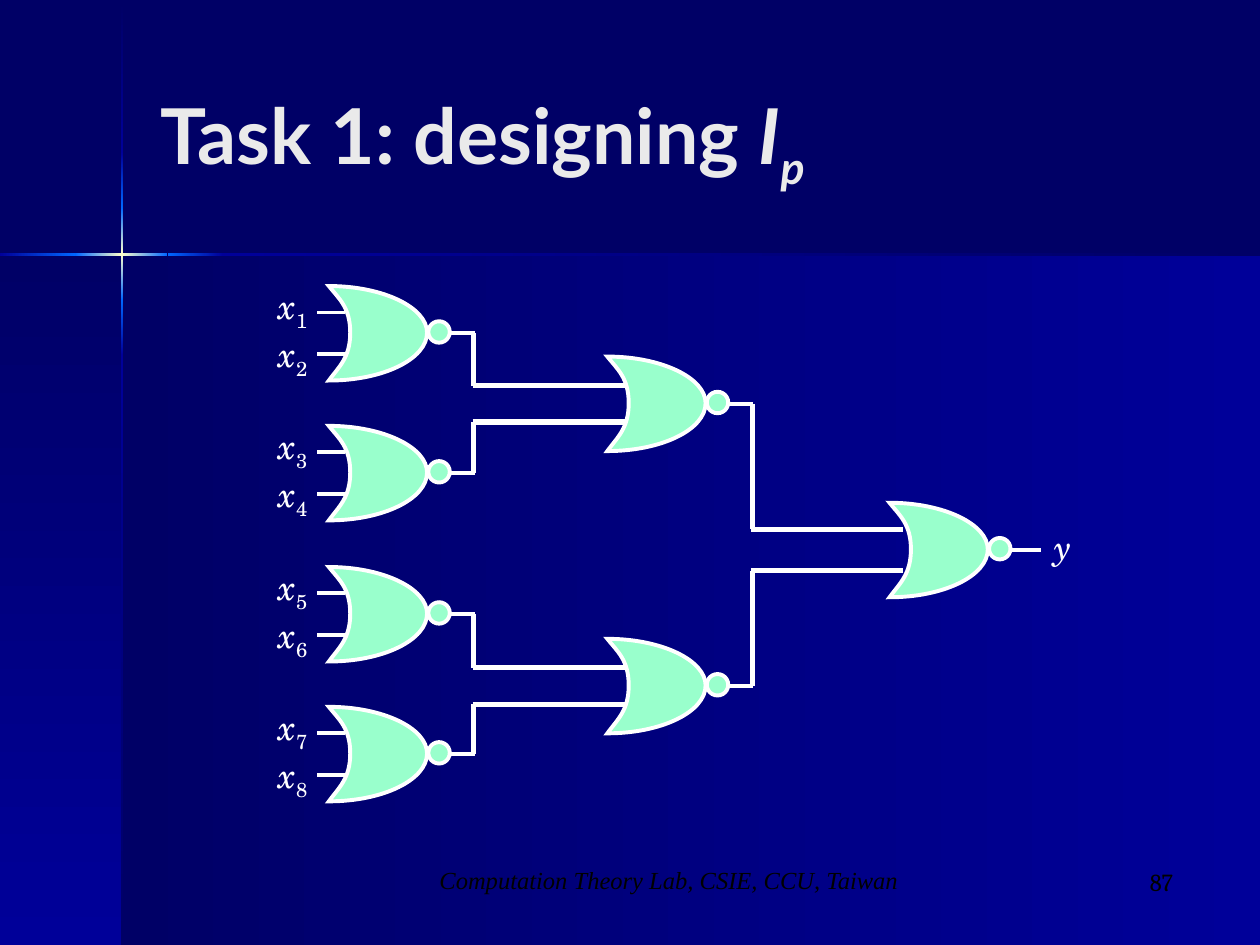
from copy import deepcopy
from dataclasses import dataclass

from lxml.etree import SubElement
from pptx import Presentation
from pptx.dml.color import RGBColor
from pptx.enum.shapes import MSO_CONNECTOR, MSO_SHAPE
from pptx.enum.text import MSO_ANCHOR, MSO_AUTO_SIZE, PP_ALIGN
from pptx.oxml.ns import qn
from pptx.util import Inches, Pt

NAVY = RGBColor(0x00, 0x00, 0x66)
BLUE = RGBColor(0x00, 0x00, 0x99)
GLOW = RGBColor(0x00, 0x66, 0xFF)
SPARK = RGBColor(0xFF, 0xFF, 0xCC)
MINT = RGBColor(0x99, 0xFF, 0xCC)
WHITE = RGBColor(0xFF, 0xFF, 0xFF)
PALE = RGBColor(0xEA, 0xEA, 0xEA)
BLACK = RGBColor(0x00, 0x00, 0x00)

GATE_WIDTH, GATE_HEIGHT = 0.78, 0.75
BUBBLE = 0.17
THIN, THICK = 2.25, 3
CROSS_X, CROSS_Y, RAY = 0.97, 2.02, 0.02
VERTICAL_RAY = [(0.01, 1.21, (NAVY, BLUE)), (1.21, 1.65, (BLUE, GLOW)),
                (1.65, 2.38, (GLOW, SPARK, GLOW)), (2.38, 2.82, (GLOW, BLUE)),
                (2.82, 7.5, (BLUE, NAVY))]
HORIZONTAL_RAY = [(0, 0.6, (BLUE, GLOW)), (0.6, 1.33, (GLOW, SPARK, GLOW)),
                  (1.33, 1.77, (GLOW, BLUE)), (1.77, 10, (BLUE, NAVY))]
GATE_CONTROLS = [
    (0.08, 0.1), (0.17, 0.17), (0.17, 0.37),
    (0.17, 0.57), (0.08, 0.64), (0, 0.75),
    (0.43, 0.75), (0.78, 0.58), (0.78, 0.37),
    (0.78, 0.17), (0.43, 0), (0, 0),
]


@dataclass(frozen=True)
class Gate:
    left: float
    top: float
    stub: float = 0.38

    @property
    def right(self) -> float:
        return self.left + GATE_WIDTH

    @property
    def middle(self) -> float:
        return self.top + GATE_HEIGHT / 2


@dataclass(frozen=True)
class Wire:
    source: Gate
    entry_y: float
    end_x: float


@dataclass(frozen=True)
class Label:
    left: float
    top: float
    width: float
    height: float
    text: str
    font: str
    align: PP_ALIGN
    italic: bool = False


def style_run(run, size: int, font: str, color: RGBColor,
              italic: bool = False, subscript: bool = False) -> None:
    run.font.size = Pt(size)
    run.font.name = font
    run.font.color.rgb = color
    run.font.italic = italic
    if subscript:
        run.font._element.set("baseline", "-25000")


def add_band(shapes, left: float, top: float, width: float, height: float,
             colors: tuple[RGBColor, ...], vertical: bool) -> None:
    shape = shapes.add_shape(
        MSO_SHAPE.RECTANGLE, Inches(left), Inches(top), Inches(width), Inches(height))
    shape.shadow.inherit = False
    shape.line.fill.background()
    shape.fill.gradient()
    shape.fill.gradient_angle = 270 if vertical else 0
    if len(colors) == 3:
        stop_list = shape._element.spPr.find(".//" + qn("a:gsLst"))
        stop_list.insert(1, deepcopy(stop_list[0]))
    for index, (stop, color) in enumerate(zip(shape.fill.gradient_stops, colors)):
        stop.color.rgb = color
        stop.position = index / (len(colors) - 1)


def add_backdrop(slide) -> None:
    master = slide.slide_layout.slide_master
    master.background.fill.solid()
    master.background.fill.fore_color.rgb = NAVY
    group = slide.shapes.add_group_shape()
    add_band(group.shapes, CROSS_X, CROSS_Y, 10 - CROSS_X, 7.5 - CROSS_Y, (NAVY, BLUE), False)
    add_band(group.shapes, 0, CROSS_Y, CROSS_X, 7.5 - CROSS_Y, (NAVY, BLUE), True)
    for top, bottom, colors in VERTICAL_RAY:
        add_band(group.shapes, CROSS_X - RAY / 2, top, RAY, bottom - top, colors, True)
    for left, right, colors in HORIZONTAL_RAY:
        add_band(group.shapes, left, CROSS_Y - RAY / 2, right - left, RAY, colors, False)
    master.shapes._spTree.insert(2, group._element)


def add_line(shapes, x1: float, y1: float, x2: float, y2: float, width: float) -> None:
    line = shapes.add_connector(
        MSO_CONNECTOR.STRAIGHT, Inches(x1), Inches(y1), Inches(x2), Inches(y2))
    line.line.color.rgb = WHITE
    line.line.width = Pt(width)
    SubElement(line._element.spPr, qn("a:effectLst"))


def paint(shape) -> None:
    shape.shadow.inherit = False
    shape.fill.solid()
    shape.fill.fore_color.rgb = MINT
    shape.line.color.rgb = WHITE
    shape.line.width = Pt(THIN)
    SubElement(shape._element.spPr.find(qn("a:ln")), qn("a:miter"), lim="800000")


def bend_segments(shape) -> None:
    outline = shape._element.spPr.find(".//" + qn("a:path"))
    segments = outline.findall(qn("a:lnTo"))
    for start in range(0, len(segments), 3):
        curve = SubElement(outline, qn("a:cubicBezTo"))
        segments[start].addprevious(curve)
        for segment in segments[start:start + 3]:
            curve.append(segment[0])
            outline.remove(segment)


def add_gate(shapes, gate: Gate) -> None:
    builder = shapes.build_freeform(Inches(gate.left), Inches(gate.top))
    builder.add_line_segments(
        [(Inches(gate.left + x), Inches(gate.top + y)) for x, y in GATE_CONTROLS], close=True)
    body = builder.convert_to_shape()
    bend_segments(body)
    paint(body)
    add_line(shapes, gate.right, gate.middle, gate.right + gate.stub, gate.middle, THIN)
    paint(shapes.add_shape(
        MSO_SHAPE.OVAL, Inches(gate.right + 0.01), Inches(gate.top + 0.28),
        Inches(BUBBLE), Inches(BUBBLE)))


def add_variables(shapes, left: float, top: float, width: float, height: float,
                  names: list[tuple[str, str]]) -> None:
    box = shapes.add_textbox(Inches(left), Inches(top), Inches(width), Inches(height))
    frame = box.text_frame
    frame.word_wrap = False
    frame.auto_size = MSO_AUTO_SIZE.SHAPE_TO_FIT_TEXT
    frame.vertical_anchor = MSO_ANCHOR.MIDDLE
    for index, (name, number) in enumerate(names):
        paragraph = frame.add_paragraph() if index else frame.paragraphs[0]
        paragraph.text = name
        paragraph.alignment = PP_ALIGN.CENTER
        style_run(paragraph.runs[0], 20, "TeX Gyre Schola", WHITE, italic=True)
        if number:
            run = paragraph.add_run()
            run.text = number
            style_run(run, 20, "TeX Gyre Schola", WHITE, subscript=True)


def add_input_gate(slide, gate: Gate, first: int) -> None:
    shapes = slide.shapes.add_group_shape().shapes
    add_gate(shapes, gate)
    for offset in (0.21, 0.54):
        add_line(shapes, gate.left - 0.09, gate.top + offset,
                 gate.left + 0.13, gate.top + offset, THIN)
    add_variables(shapes, gate.left - 0.5, gate.top - 0.06, 0.43, 0.86,
                  [("x", str(first)), ("x", str(first + 1))])


def add_wire(shapes, wire: Wire) -> None:
    x = wire.source.right + wire.source.stub - 0.01
    add_line(shapes, x, wire.source.middle, x, wire.entry_y, THICK)
    add_line(shapes, x - 0.01, wire.entry_y, wire.end_x, wire.entry_y, THICK)


def add_label(slide, label: Label) -> None:
    box = slide.shapes.add_textbox(
        Inches(label.left), Inches(label.top), Inches(label.width), Inches(label.height))
    box.text_frame.word_wrap = True
    box.text_frame.text = label.text
    paragraph = box.text_frame.paragraphs[0]
    paragraph.alignment = label.align
    style_run(paragraph.runs[0], 14, label.font, BLACK, label.italic)


def add_title(slide) -> None:
    title = slide.shapes.title
    title.left, title.top, title.width, title.height = map(Inches, (1.17, 0.33, 8.25, 1.57))
    title.text_frame.vertical_anchor = MSO_ANCHOR.MIDDLE
    paragraph = title.text_frame.paragraphs[0]
    paragraph.alignment = PP_ALIGN.LEFT
    for text, italic, subscript in (("Task 1: designing ", False, False),
                                    ("I", True, False), ("p", True, True)):
        run = paragraph.add_run()
        run.text = text
        style_run(run, 44, "Lato", PALE, italic, subscript)
        run.font.bold = True


def main() -> None:
    presentation = Presentation()
    presentation.slide_width, presentation.slide_height = Inches(10), Inches(7.5)
    slide = presentation.slides.add_slide(presentation.slide_layouts[5])
    add_backdrop(slide)
    add_title(slide)

    input_gates = [Gate(2.61, top) for top in (2.27, 3.38, 4.5, 5.61)]
    middle_gates = [Gate(4.82, top) for top in (2.83, 5.07)]
    final_gate = Gate(7.06, 3.99, stub=0.42)
    for index, gate in enumerate(input_gates):
        add_input_gate(slide, gate, 2 * index + 1)
    for gate in (*middle_gates, final_gate):
        add_gate(slide.shapes, gate)
    for index, gate in enumerate(input_gates):
        target = middle_gates[index // 2]
        entry_y = target.top + (0.23, 0.52)[index % 2]
        add_wire(slide.shapes, Wire(gate, entry_y, target.left + 0.14))
    for gate, offset in zip(middle_gates, (0.21, 0.54)):
        add_wire(slide.shapes, Wire(gate, final_gate.top + offset, final_gate.left + 0.11))
    add_variables(slide.shapes, 8.27, 4.12, 0.34, 0.44, [("y", "")])

    add_label(slide, Label(3.13, 6.82, 4.36, 0.5, "Computation Theory Lab, CSIE, CCU, Taiwan",
                           "Times New Roman", PP_ALIGN.CENTER, italic=True))
    add_label(slide, Label(7.33, 6.83, 2.08, 0.5, "87", "Cambria", PP_ALIGN.RIGHT))
    presentation.save("out.pptx")


if __name__ == "__main__":
    main()
